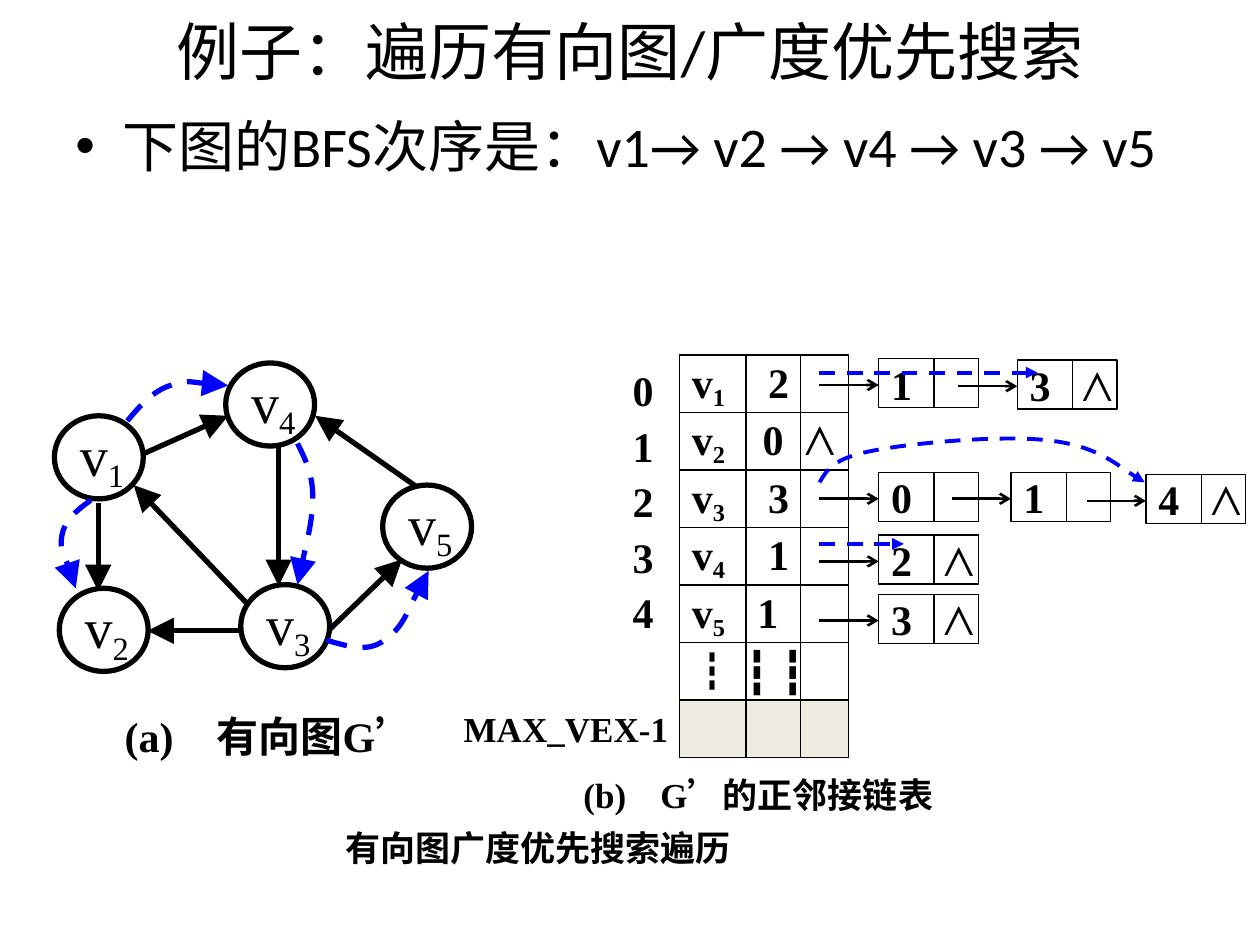
from lxml import etree
from pptx import Presentation
from pptx.dml.color import RGBColor
from pptx.enum import dml, shapes as kinds, text
from pptx.oxml import ns
from pptx.util import Pt

BLACK = RGBColor(0, 0, 0)
BLUE = RGBColor(0, 0, 255)
BEIGE = RGBColor(0xEE, 0xEC, 0xE1)
SERIF = "Times New Roman"
SANS = "Calibri"
CJK = "Noto Sans CJK SC"


def sub(parent, tag, **attributes):
    return etree.SubElement(parent, ns.qn(tag), attributes)


def shifted(box, points):
    return [(box[0] + x, box[1] + y) for x, y in points]


def write(frame, runs, size, bold=False, font=SERIF, tabs=(), wrap=False,
          align=text.PP_ALIGN.LEFT, anchor=text.MSO_ANCHOR.MIDDLE):
    frame.word_wrap = wrap
    frame.vertical_anchor = anchor
    paragraph = frame.paragraphs[0]
    paragraph.alignment = align
    if tabs:
        stops = sub(paragraph._p.get_or_add_pPr(), "a:tabLst")
        for stop in tabs:
            sub(stops, "a:tab", pos=str(Pt(stop)), algn="l")
    for content, style in runs:
        run = paragraph.add_run()
        run.text = content
        run.font.size = Pt(size)
        run.font.bold = bold and style != "plain"
        run.font.name = CJK if style == "cjk" else font
        run.font.color.rgb = BLACK
        if style == "sub":
            run.font._element.set("baseline", "-20000")
    return paragraph


def label(parts, box, content, size, **options):
    place = parts.add_textbox(*map(Pt, box))
    return write(place.text_frame, [(content, "")], size, **options)


def outlined(parts, kind, box, weight, fill=None):
    shape = parts.add_shape(kind, *map(Pt, box))
    shape.shadow.inherit = False
    if fill is None:
        shape.fill.background()
    else:
        shape.fill.solid()
        shape.fill.fore_color.rgb = fill
    shape.line.color.rgb = BLACK
    shape.line.width = Pt(weight)
    return shape


def stroke(shape, weight, color, head):
    shape.line.color.rgb = color
    shape.line.width = Pt(weight)
    if color == BLUE:
        shape.line.dash_style = dml.MSO_LINE.DASH
    if head:
        size = "lg" if weight == 3 else "med"
        sub(shape.line._get_or_add_ln(), "a:tailEnd", type=head, w=size, len=size)


def line(parts, start, end, weight, color=BLACK, head=None):
    link = parts.add_connector(kinds.MSO_CONNECTOR.STRAIGHT, *map(Pt, start + end))
    stroke(link, weight, color, head)
    sub(link._element.spPr, "a:effectLst")


def curve(parts, controls, weight):
    points = [(Pt(x), Pt(y)) for x, y in controls]
    builder = parts.build_freeform(*points[0])
    builder.add_line_segments(points[1:], close=False)
    route = builder.convert_to_shape()
    outline = route._element.find(".//" + ns.qn("a:path"))
    legs = outline.findall(ns.qn("a:lnTo"))
    for first in range(0, len(legs), 3):
        bend = sub(outline, "a:cubicBezTo")
        for leg in legs[first:first + 3]:
            bend.append(leg[0])
            outline.remove(leg)
    route.shadow.inherit = False
    route.fill.background()
    stroke(route, weight, BLUE, "triangle")


def cell(parts, box, splits, runs=(), tabs=(), fill=None):
    left, top, width, height = box
    frame = outlined(parts, kinds.MSO_SHAPE.RECTANGLE, box, 0.75, fill).text_frame
    frame.margin_right = 0
    write(frame, runs, 24, bold=True, tabs=tabs)
    for split in splits:
        line(parts, (left + split, top), (left + split, top + height), 0.75)


def heading(slide, box):
    label(slide.shapes, box, "例子：遍历有向图/广度优先搜索", 36, font=SANS,
          wrap=True, align=text.PP_ALIGN.CENTER)


def bfs_order(slide, box):
    order = label(slide.shapes, box, "下图的BFS次序是：v1→ v2 → v4 → v3 → v5", 32,
                  font=SANS, wrap=True, anchor=text.MSO_ANCHOR.TOP)
    properties = order._p.get_or_add_pPr()
    properties.set("marL", str(Pt(27)))
    properties.set("indent", str(-Pt(27)))
    sub(properties, "a:buFont", typeface="Arial")
    sub(properties, "a:buChar", char="•")


def adjacency_list(slide, box):
    parts = slide.shapes.add_group_shape().shapes
    left, top, width, height = box
    rows = [
        ([("v", ""), ("1", "sub"), ("\t2", "")], (43.5,)),
        ([("v", ""), ("2", "sub"), ("\t0\t", ""), ("⋀", "plain")], (40.5, 64.5)),
        ([("v", ""), ("3", "sub"), ("\t3", "")], (43.5,)),
        ([("v", ""), ("4", "sub"), ("\t1", "")], (43.5,)),
        ([("v", ""), ("5", "sub"), ("\t1", "")], (37.5,)),
        ([("┇", "cjk"), (" ┇ ┇", "")], ()),
        ([], ()),
    ]
    row_height = height / len(rows)
    for index, (runs, tabs) in enumerate(rows):
        cell(parts, (left, top + index * row_height, width, row_height), (38, 69),
             runs, tabs, None if runs else BEIGE)

    chain_nodes = [("1", 113.8, 2.2, False), ("3", 193, 2.9, True),
                   ("0", 113.8, 67.2, False), ("1", 189.4, 67.2, False),
                   ("4", 266.5, 68.4, True), ("2", 113.8, 103, True),
                   ("3", 113.8, 136.8, True)]
    for value, x, y, last in chain_nodes:
        runs = [(value + "\t", ""), ("⋀", "plain")] if last else [(value, "")]
        cell(parts, (left + x, top + y, 57, 28), (31.7,), runs, (30,) if last else ())
        arrow_y = top + y + 15
        line(parts, (left + x - 33.8, arrow_y), (left + x, arrow_y), 1.5, head="arrow")

    for visit_y, end in ((10.1, 204.6), (108, 128.2)):
        line(parts, (left + 80, top + visit_y), (left + end, top + visit_y), 2.25,
             BLUE, "triangle")
    curve(parts, shifted(box, [
        (80, 72.8), (84.3, 65.6), (87.9, 59.1), (110.2, 54.8), (131.8, 50.4),
        (185.8, 45.4), (211.8, 49), (238.4, 51.9), (257.1, 68.4), (265.8, 72.8)]), 2.25)

    indexes = parts.add_textbox(Pt(left - 33.8), Pt(top - 1), Pt(28), Pt(166)).text_frame
    indexes.text = "\n".join("01234")
    indexes.word_wrap = False
    indexes.vertical_anchor = text.MSO_ANCHOR.MIDDLE
    for paragraph in indexes.paragraphs:
        paragraph.line_spacing = 1.1
        font = paragraph.runs[0].font
        font.name, font.size, font.bold = SERIF, Pt(24), True
        font.color.rgb = BLACK
    label(parts, (left - 130.4, top + 199.5, 136, 28), "MAX_VEX-1", 20, bold=True)
    label(parts, (left - 62, top + 238.4, 226, 25.2), "(b)\tG’的正邻接链表", 20,
          bold=True, tabs=(44,))


def directed_graph(slide, box):
    parts = slide.shapes.add_group_shape().shapes
    left, top = box[:2]
    vertices = [(0, 30.6), (2.8, 129.2), (106.5, 127.1), (97.9, 0.4), (187.6, 70.2)]
    for number, (x, y) in enumerate(vertices, 1):
        vertex = outlined(parts, kinds.MSO_SHAPE.OVAL, (left + x, top + y, 50.8, 47.5), 3)
        write(vertex.text_frame, [("v", ""), (str(number), "sub")], 32)

    edges = [((25, 80.3), (25, 130.7)), ((128.1, 47.2), (128.1, 127.8)),
             ((110.8, 138.6), (45.3, 70.2)), ((51.1, 52.2), (99.3, 30.6)),
             ((107.2, 153.5), (53.2, 153.5)), ((206.6, 70.9), (149, 30.6)),
             ((156.9, 153), (198.7, 112.7))]
    for edge in edges:
        line(parts, *shifted(box, edge), 3, head="triangle")

    visits = [
        [(41.7, 33.5), (48.9, 24.8), (56.8, 16.2), (66.2, 13.3),
         (75.6, 9.7), (93.6, 13.3), (99.3, 13.3)],
        [(20.8, 78.8), (12.9, 84.6), (5.7, 90.4), (4.3, 99),
         (2.8, 106.9), (11.5, 124.2), (12.2, 129.2)],
        [(138.9, 46.4), (143.2, 55.1), (147.6, 63.7), (147.6, 76.7),
         (147.6, 90.4), (140.4, 119.2), (138.9, 127.1)],
        [(155.5, 158.8), (167.7, 162.4), (179.2, 166), (188.6, 158.8),
         (198.7, 152.3), (209.5, 125.6), (213.8, 119.2)],
    ]
    for visit in visits:
        curve(parts, shifted(box, visit), 3)
    label(parts, (left + 33.1, top + 191.9, 188, 42.5), "(a)\t有向图G’", 24,
          bold=True, tabs=(52.5,))


def caption(slide, box):
    label(slide.shapes, box, "有向图广度优先搜索遍历", 20, bold=True,
          align=text.PP_ALIGN.CENTER)


def main():
    deck = Presentation()
    deck.slide_width, deck.slide_height = Pt(720), Pt(540)
    slide = deck.slides.add_slide(deck.slide_layouts[6])
    heading(slide, (36, -2.5, 648, 62.6))
    bfs_order(slide, (36, 60, 648, 480))
    adjacency_list(slide, (388.3, 202.8, 96.5, 230))
    caption(slide, (156, 471.6, 303, 25.2))
    directed_graph(slide, (31.1, 207, 238.3, 234.4))
    deck.save("out.pptx")


if __name__ == "__main__":
    main()
